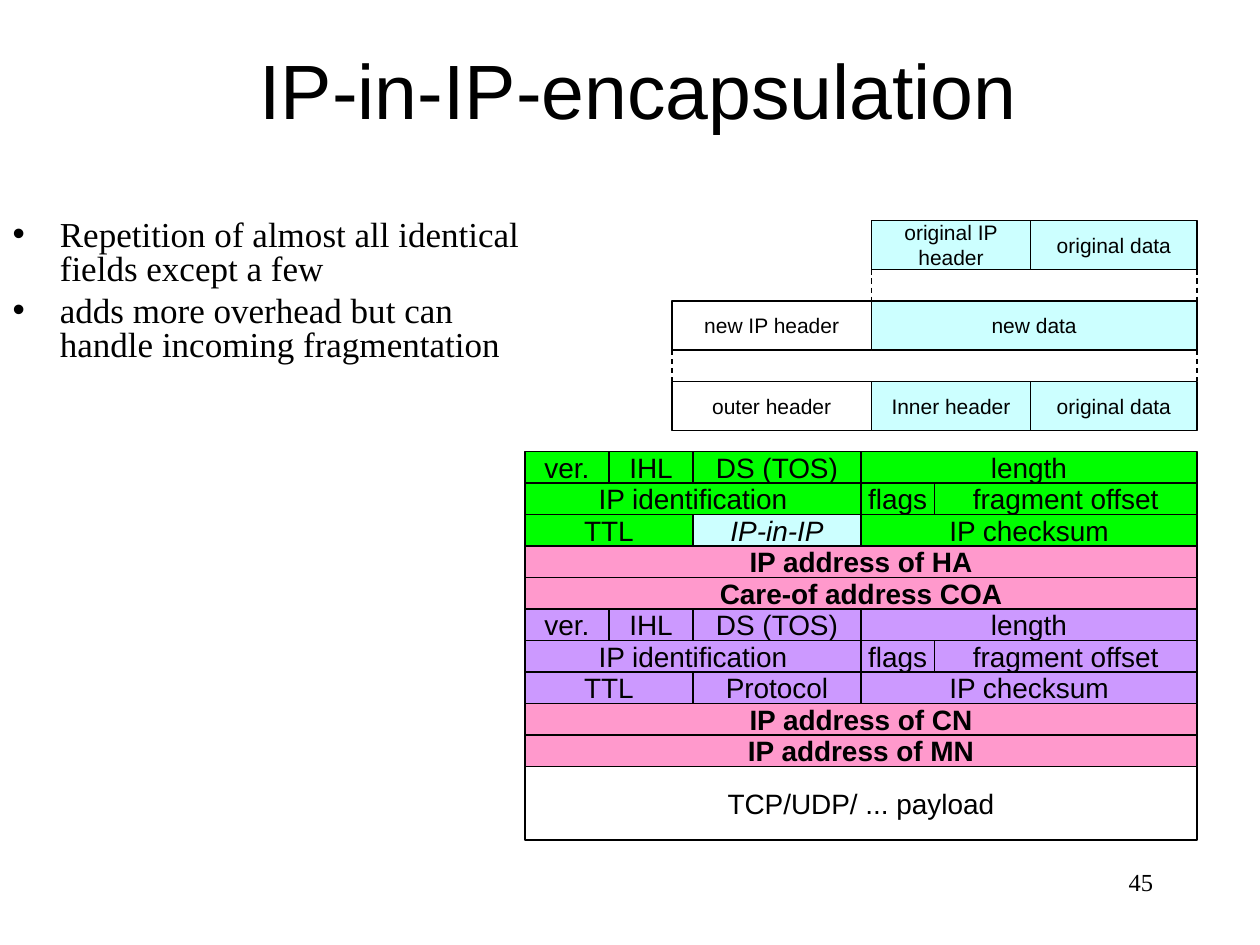
from lxml.etree import SubElement
from pptx import Presentation
from pptx.dml.color import RGBColor
from pptx.enum.dml import MSO_LINE
from pptx.enum.shapes import MSO_CONNECTOR, MSO_SHAPE
from pptx.enum.text import MSO_ANCHOR, MSO_AUTO_SIZE, PP_ALIGN
from pptx.oxml.ns import qn
from pptx.util import Pt

BLACK, WHITE = "000000", "FFFFFF"
GREEN, PURPLE, PINK, CYAN = "00FF00", "CC99FF", "FF99CC", "CCFFFF"
SANS, SERIF = "Arial", "Times New Roman"


def color(hex_code):
    return RGBColor.from_string(hex_code)


def add_run(paragraph, text, size, font, bold=False, italic=False):
    run = paragraph.add_run()
    run.text = text
    run.font.size = Pt(size)
    run.font.name = font
    run.font.bold = bold
    run.font.italic = italic
    run.font.color.rgb = color(BLACK)


def place(part, left, top, width, height):
    part.left, part.top = Pt(left), Pt(top)
    part.width, part.height = Pt(width), Pt(height)


def add_field(slide, box, label, fill, size, bold=False, italic=False):
    """One outlined packet field; each line of the label is a paragraph."""
    field = slide.shapes.add_shape(MSO_SHAPE.RECTANGLE, *map(Pt, box))
    field.shadow.inherit = False
    if fill:
        field.fill.solid()
        field.fill.fore_color.rgb = color(fill)
    else:
        field.fill.background()
    field.line.color.rgb = color(BLACK)
    field.line.width = Pt(0.75)
    frame = field.text_frame
    frame.word_wrap = False
    frame.vertical_anchor = MSO_ANCHOR.MIDDLE
    for i, line in enumerate(label.split("\n")):
        paragraph = frame.add_paragraph() if i else frame.paragraphs[0]
        paragraph.alignment = PP_ALIGN.CENTER
        add_run(paragraph, line, size, SANS, bold, italic)


def add_guide(slide, x, top, bottom):
    guide = slide.shapes.add_connector(
        MSO_CONNECTOR.STRAIGHT, Pt(x), Pt(top), Pt(x), Pt(bottom))
    guide.line.color.rgb = color(BLACK)
    guide.line.width = Pt(0.75)
    guide.line.dash_style = MSO_LINE.DASH
    SubElement(guide.element.spPr, qn("a:effectLst"))


def add_title(slide, box, text):
    title = slide.shapes.title
    place(title, *box)
    frame = title.text_frame
    frame.auto_size = MSO_AUTO_SIZE.NONE
    frame.vertical_anchor = MSO_ANCHOR.MIDDLE
    frame.paragraphs[0].alignment = PP_ALIGN.CENTER
    add_run(frame.paragraphs[0], text, 44, SANS)


def add_remarks(slide, box, remarks):
    body = slide.placeholders[1]
    place(body, *box)
    frame = body.text_frame
    frame.auto_size = MSO_AUTO_SIZE.NONE
    for i, remark in enumerate(remarks):
        paragraph = frame.add_paragraph() if i else frame.paragraphs[0]
        properties = paragraph._p.get_or_add_pPr()
        properties.set("marL", str(Pt(27)))
        properties.set("indent", str(Pt(-27)))
        bullet_color = SubElement(properties, qn("a:buClr"))
        SubElement(bullet_color, qn("a:srgbClr")).set("val", BLACK)
        SubElement(properties, qn("a:buChar")).set("char", "•")
        paragraph.line_spacing = 0.8
        paragraph.space_before = Pt(5 if i else 0)
        add_run(paragraph, remark, 20, SERIF)


def add_encapsulation(slide, box):
    """Three packet stages, joined by dashed guides."""
    left, top, width, height = box
    gap = 18
    row_height = (height - 2 * gap) / 3
    # Column edges: outer header, inner header, data
    edges = [left, left + 114, left + 205, left + width]
    stages = [
        [(1, 2, "original IP\nheader", CYAN), (2, 3, "original data", CYAN)],
        [(0, 1, "new IP header", WHITE), (1, 3, "new data", CYAN)],
        [(0, 1, "outer header", WHITE), (1, 2, "Inner header", CYAN),
         (2, 3, "original data", CYAN)],
    ]
    for i, stage in enumerate(stages):
        y = top + i * (row_height + gap)
        for start, end, label, fill in stage:
            field_box = (edges[start], y, edges[end] - edges[start], row_height)
            add_field(slide, field_box, label, fill, 12)
        # Guides from this stage to the next one
        if i < len(stages) - 1:
            for x in (edges[stage[0][0]], edges[-1]):
                add_guide(slide, x, y + row_height, y + row_height + gap)


def ip_header(fill, protocol, source, destination):
    """Rows of (width in bits, label, fill, bold, italic)."""
    def plain(bits, label):
        return bits, label, fill, False, False

    return [
        [plain(4, "ver."), plain(4, "IHL"), plain(8, "DS (TOS)"),
         plain(16, "length")],
        [plain(16, "IP identification"), plain(3.5, "flags"),
         plain(12.5, "fragment offset")],
        [plain(8, "TTL"), protocol, plain(16, "IP checksum")],
        [(32, source, PINK, True, False)],
        [(32, destination, PINK, True, False)],
    ]


def add_packet(slide, box):
    """Outer header, inner header and payload, 32 bits wide."""
    left, top, width, height = box
    bit, row_height = width / 32, 18
    rows = ip_header(GREEN, (8, "IP-in-IP", CYAN, False, True),
                     "IP address of HA", "Care-of address COA")
    rows += ip_header(PURPLE, (8, "Protocol", PURPLE, False, False),
                      "IP address of CN", "IP address of MN")
    y = top
    for row in rows:
        x = left
        for bits, label, fill, bold, italic in row:
            add_field(slide, (x, y, bits * bit, row_height), label, fill, 16,
                      bold, italic)
            x += bits * bit
        y += row_height
    add_field(slide, (left, y, width, top + height - y),
              "TCP/UDP/ ... payload", None, 16)


def add_page_number(slide, box, number):
    frame = slide.shapes.add_textbox(*map(Pt, box)).text_frame
    frame.word_wrap = True
    frame.paragraphs[0].alignment = PP_ALIGN.RIGHT
    add_run(frame.paragraphs[0], number, 14, SERIF)


def main():
    deck = Presentation()
    deck.slide_width, deck.slide_height = Pt(720), Pt(540)
    slide = deck.slides.add_slide(deck.slide_layouts[1])
    add_title(slide, (32.5, 19.5, 665, 62.5), "IP-in-IP-encapsulation")
    add_remarks(slide, (0, 122.5, 306, 111.5), [
        "Repetition of almost all identical fields except a few",
        "adds more overhead but can handle incoming fragmentation",
    ])
    add_encapsulation(slide, (384, 126, 300, 120))
    add_packet(slide, (300, 258, 384, 222))
    add_page_number(slide, (516, 492, 150, 36), "45")
    deck.save("out.pptx")


if __name__ == "__main__":
    main()
